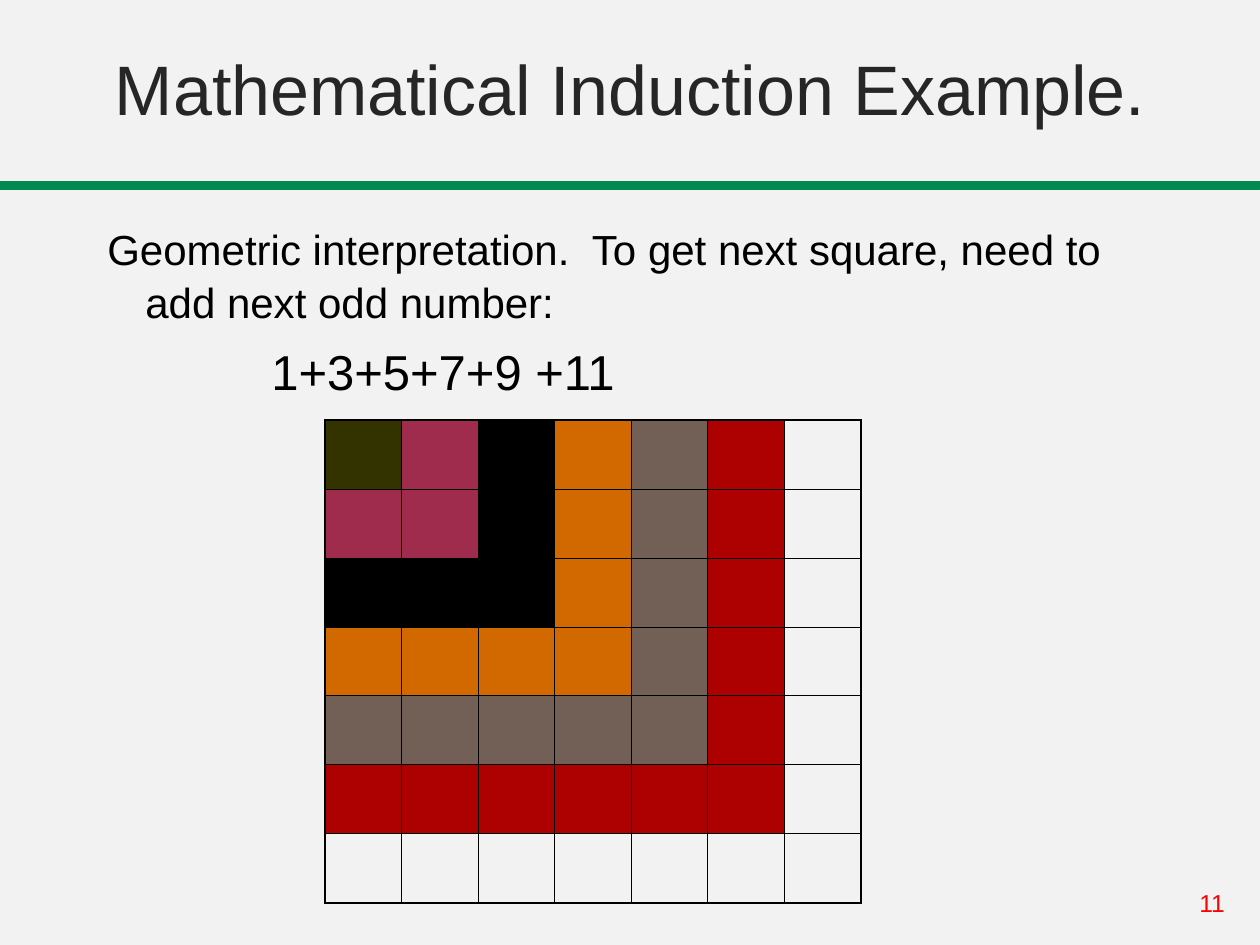
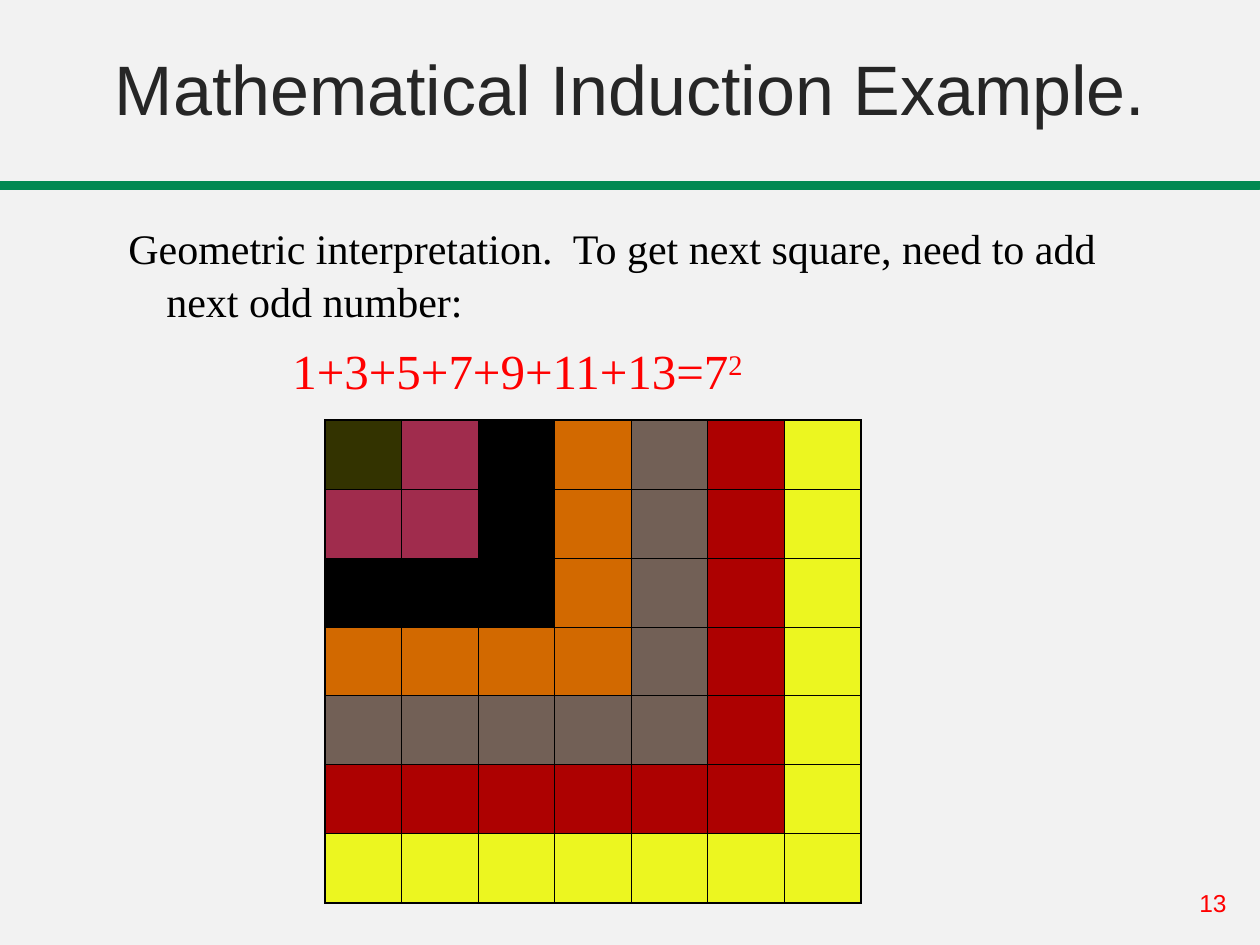
from dataclasses import dataclass

from lxml.etree import SubElement
from pptx import Presentation
from pptx.dml.color import RGBColor
from pptx.enum.shapes import MSO_SHAPE
from pptx.enum.text import MSO_ANCHOR, PP_ALIGN
from pptx.oxml.ns import qn
from pptx.util import Emu, Pt

PIXELS_PER_INCH = 126
SLIDE_WIDTH, SLIDE_HEIGHT = 1260, 945
BACKGROUND, BAND_GREEN, TITLE_GREY = "F2F2F2", "018952", "262626"
BLACK, RED = "000000", "FF0000"
LAYER_COLOURS = ["333300", "A02C4D", "000000", "D26900", "726056", "AD0101", "ECF620"]
GRID_SIZE = len(LAYER_COLOURS)
THIN, THICK = 0.45, 1.08
TITLE = "Mathematical Induction Example."
STATEMENT = "Geometric interpretation.  To get next square, need to add next odd number:"


@dataclass(frozen=True)
class Frame:
    """Position and size in px."""
    left: int
    top: int
    width: int
    height: int


@dataclass(frozen=True)
class InductionStep:
    """What differs from one slide to the next."""
    number: str
    body: Frame
    body_inset: int
    font: str
    odd_sum: str
    exponent: str
    sum_colour: str
    layers: int


STEPS = [
    InductionStep("11", Frame(95, 189, 1071, 305), 32, "Arial",
                  "1+3+5+7+9 +11", "", BLACK, 6),
    InductionStep("13", Frame(116, 189, 1071, 242), 31, "Times New Roman",
                  "1+3+5+7+9+11+13=7", "2", RED, 7),
]


def px(length: int) -> Emu:
    """Turn px into EMU."""
    return Emu(round(length * 914400 / PIXELS_PER_INCH))


def colour(value: str) -> RGBColor:
    """Turn a hex string into a colour."""
    return RGBColor.from_string(value)


def place(frame: Frame) -> tuple[Emu, Emu, Emu, Emu]:
    """Give the frame as EMU arguments."""
    return px(frame.left), px(frame.top), px(frame.width), px(frame.height)


def add_text_box(slide, frame: Frame, anchor=MSO_ANCHOR.TOP, inset: int = 6):
    """Add an empty wrapping text box and return its text frame."""
    text_frame = slide.shapes.add_textbox(*place(frame)).text_frame
    text_frame.word_wrap = True
    text_frame.vertical_anchor = anchor
    text_frame.margin_top = px(inset)
    return text_frame


def write(paragraph, text: str, *, size: int, font: str = "Arial", ink: str = BLACK,
          align=PP_ALIGN.LEFT, margin: int = 0, indent: int = 0, before: int = 0,
          spacing: float = 1.0, superscript: str = "") -> None:
    """Fill a paragraph with formatted text and an optional superscript."""
    paragraph.alignment = align
    paragraph.space_before = Pt(before)
    paragraph.line_spacing = spacing
    properties = paragraph._p.get_or_add_pPr()
    properties.set("marL", str(px(margin)))
    properties.set("indent", str(px(indent)))
    for content, baseline in ((text, 0), (superscript, 30000)):
        if content:
            run = paragraph.add_run()
            run.text = content
            run.font.size = Pt(size)
            run.font.name = font
            run.font.color.rgb = colour(ink)
            if baseline:
                run._r.get_or_add_rPr().set("baseline", str(baseline))


def add_band(slide) -> None:
    """Draw the green band under the title."""
    band = slide.shapes.add_shape(MSO_SHAPE.RECTANGLE, *place(Frame(0, 183, SLIDE_WIDTH, 6)))
    band.shadow.inherit = False
    band.fill.solid()
    band.fill.fore_color.rgb = colour(BAND_GREEN)
    band.line.color.rgb = colour(BAND_GREEN)
    band.line.width = Pt(1.75)


def set_border(cell, side: str, width: float) -> None:
    """Draw one black edge of a cell."""
    line = SubElement(cell._tc.get_or_add_tcPr(), qn(f"a:ln{side}"), w=str(Pt(width)))
    fill = SubElement(line, qn("a:solidFill"))
    SubElement(fill, qn("a:srgbClr"), val=BLACK)


def add_square_grid(slide, layers: int) -> None:
    """Draw the grid with the first L-shaped layers coloured."""
    frame = Frame(325, 420, 536, 483)
    table = slide.shapes.add_table(GRID_SIZE, GRID_SIZE, *place(frame)).table
    table.first_row = table.horz_banding = False
    last = GRID_SIZE - 1
    for row in range(GRID_SIZE):
        for column in range(GRID_SIZE):
            cell = table.cell(row, column)
            outer_edges = {"L": column == 0, "R": column == last,
                           "T": row == 0, "B": row == last}
            for side, outer in outer_edges.items():
                set_border(cell, side, THICK if outer else THIN)
            layer = max(row, column)
            if layer < layers:
                cell.fill.solid()
                cell.fill.fore_color.rgb = colour(LAYER_COLOURS[layer])
            else:
                cell.fill.background()


def add_step_slide(presentation, step: InductionStep) -> None:
    """Build the slide of one induction step."""
    slide = presentation.slides.add_slide(presentation.slide_layouts[6])
    slide.background.fill.solid()
    slide.background.fill.fore_color.rgb = colour(BACKGROUND)
    add_band(slide)
    number = add_text_box(slide, Frame(1187, 882, 73, 43))
    write(number.paragraphs[0], step.number, size=14, ink=RED)
    title = add_text_box(slide, Frame(0, 0, SLIDE_WIDTH, 136), MSO_ANCHOR.BOTTOM)
    write(title.paragraphs[0], TITLE, size=40, ink=TITLE_GREY, align=PP_ALIGN.CENTER)
    body = add_text_box(slide, step.body, inset=step.body_inset)
    write(body.paragraphs[0], STATEMENT, size=24, font=step.font,
          margin=38, indent=-38, spacing=1.05)
    write(body.add_paragraph(), step.odd_sum, size=28, font=step.font, ink=step.sum_colour,
          margin=164, before=7, spacing=1.05, superscript=step.exponent)
    add_square_grid(slide, step.layers)


def main() -> None:
    """Build and save the presentation."""
    presentation = Presentation()
    presentation.slide_width = px(SLIDE_WIDTH)
    presentation.slide_height = px(SLIDE_HEIGHT)
    for step in STEPS:
        add_step_slide(presentation, step)
    presentation.save("out.pptx")


if __name__ == "__main__":
    main()
